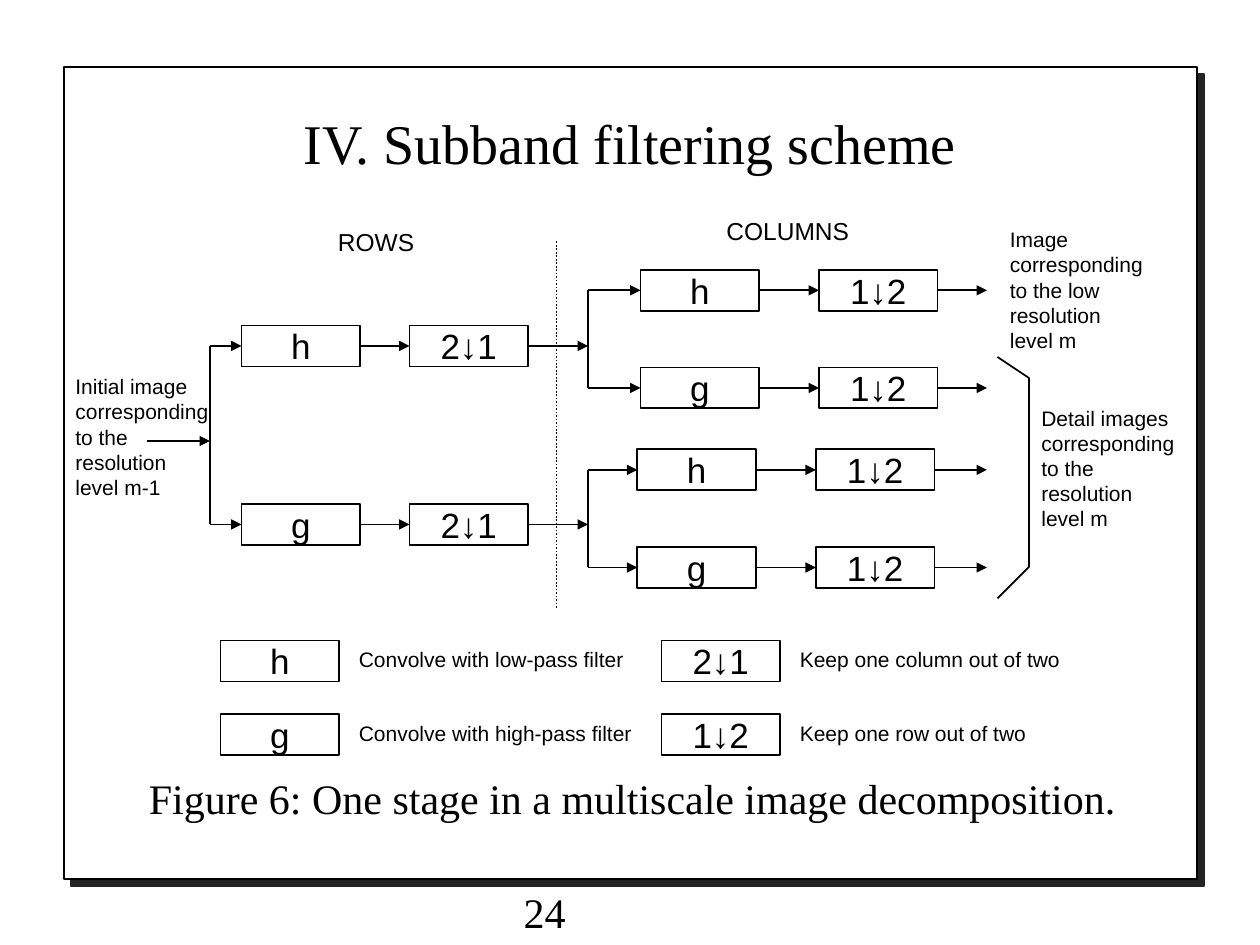
from lxml.etree import SubElement
from pptx import Presentation
from pptx.dml.color import RGBColor
from pptx.enum.dml import MSO_LINE
from pptx.enum.shapes import MSO_CONNECTOR, MSO_SHAPE
from pptx.enum.text import MSO_ANCHOR as Anchor, PP_ALIGN as Align
from pptx.oxml.ns import qn
from pptx.util import Inches, Pt

BLACK = RGBColor(0x00, 0x00, 0x00)
WHITE = RGBColor(0xFF, 0xFF, 0xFF)
SHADOW = RGBColor(0x23, 0x23, 0x23)
SANS, SERIF = "Arial", "Times New Roman"

TITLE = "IV. Subband filtering scheme"
CAPTION = "Figure 6: One stage in a multiscale image decomposition."
PAGE = "24"
ROW_STAGE = [("h", 31), ("g", 48)]
COLUMN_STAGES = [
    (61, 78, [("h", 25.7), ("g", 35)]),
    (60.7, 77.7, [("h", 42.8), ("g", 52.1)]),
]
KEEP_COLUMN, KEEP_ROW = "2↓1", "1↓2"
LEGEND = [
    [("h", "Convolve with low-pass filter"), (KEEP_COLUMN, "Keep one column out of two")],
    [("g", "Convolve with high-pass filter"), (KEEP_ROW, "Keep one row out of two")],
]
HEADINGS = [("ROWS", 31, 21, 12), ("COLUMNS", 68, 20, 17)]
IMAGE_LABELS = [
    (6, 35, ["Initial image", "corresponding", "to the resolution", "level m-1"]),
    (95, 21, ["Image corresponding", "to the low resolution", "level m"]),
    (98, 38, ["Detail images corresponding", "to the resolution", "level m"]),
]
BRACKET = [(95, 34), (98, 36), (98, 54), (95, 57)]
BOX_W, BOX_H = 11.3, 3.9
ROW_FILTER_X, ROW_KEEP_X = 23, 39
ROW_TRUNK_X, COLUMN_TRUNK_X, OUTPUT_X = 20, 56, 94
ENTRY_X, ENTRY_Y = 14, 42
LEGEND_X, LEGEND_Y, LEGEND_DX, LEGEND_DY = 21, 61, 42, 7
RIGHT_SIDE, LEFT_SIDE = 3, 1

prs = Presentation()
prs.slide_width, prs.slide_height = Inches(10), Inches(7.5)
CELL = prs.slide_width / 120
slide = prs.slides.add_slide(prs.slide_layouts[5])


def cells(*counts):
    return [round(count * CELL) for count in counts]


def write(target, text, size=12, font=SANS, align=Align.LEFT, anchor=Anchor.TOP, wrap=True):
    frame = target.text_frame
    frame.word_wrap = wrap
    frame.vertical_anchor = anchor
    frame.text = text
    for paragraph in frame.paragraphs:
        paragraph.alignment = align
        paragraph.font.size = Pt(size)
        paragraph.font.name = font
        paragraph.font.color.rgb = BLACK


def label(text, x, y, w, h, **style):
    write(slide.shapes.add_textbox(*cells(x, y, w, h)), text, **style)


def outline(shape):
    shape.shadow.inherit = False
    shape.fill.background()
    shape.line.color.rgb = BLACK
    shape.line.width = Pt(1)


def box(text, x, y):
    shape = slide.shapes.add_shape(MSO_SHAPE.RECTANGLE, *cells(x, y, BOX_W, BOX_H))
    outline(shape)
    write(shape, text, size=20, align=Align.CENTER, anchor=Anchor.MIDDLE, wrap=False)
    return shape


def wire(start, end, arrow=True):
    ends = [cells(*p) if isinstance(p, tuple) else (p.left, p.top) for p in (start, end)]
    line = slide.shapes.add_connector(MSO_CONNECTOR.STRAIGHT, *ends[0], *ends[1])
    if not isinstance(start, tuple):
        line.begin_connect(start, RIGHT_SIDE)
    if not isinstance(end, tuple):
        line.end_connect(end, LEFT_SIDE)
    line.line.color.rgb = BLACK
    line.line.width = Pt(1)
    properties = line.element.spPr
    if arrow:
        SubElement(properties.find(qn("a:ln")), qn("a:tailEnd"), type="triangle")
    SubElement(properties, qn("a:effectLst"))
    return line


def filter_bank(filters, trunk_x, filter_x, keep_x, keep_text):
    middles = [y + BOX_H / 2 for _, y in filters]
    wire((trunk_x, middles[0]), (trunk_x, middles[-1]), arrow=False)
    outputs = []
    for (name, y), middle in zip(filters, middles):
        convolve = box(name, filter_x, y)
        keep = box(keep_text, keep_x, y)
        wire((trunk_x, middle), convolve)
        wire(convolve, keep)
        outputs.append((keep, middle))
    return outputs


title = slide.shapes.title
title.left, title.top, title.width, title.height = cells(9, 7, 102, 13)
write(title, TITLE, size=32, font=SERIF, align=Align.CENTER, anchor=Anchor.MIDDLE)

panel = slide.shapes.add_shape(MSO_SHAPE.RECTANGLE, *cells(6.1, 6.4, 107.9, 77.3))
outline(panel)
panel.fill.solid()
panel.fill.fore_color.rgb = WHITE
shadow = SubElement(panel.element.spPr.find(qn("a:effectLst")), qn("a:outerShdw"),
                    dist=str(Pt(5.7)), dir="2700000", algn="ctr", rotWithShape="0")
SubElement(shadow, qn("a:srgbClr"), val=str(SHADOW))
title.element.addprevious(panel.element)

wire((ENTRY_X, ENTRY_Y), (ROW_TRUNK_X, ENTRY_Y))
row_outputs = filter_bank(ROW_STAGE, ROW_TRUNK_X, ROW_FILTER_X, ROW_KEEP_X, KEEP_COLUMN)
for (row_keep, row_middle), (filter_x, keep_x, filters) in zip(row_outputs, COLUMN_STAGES):
    wire(row_keep, (COLUMN_TRUNK_X, row_middle))
    for keep, middle in filter_bank(filters, COLUMN_TRUNK_X, filter_x, keep_x, KEEP_ROW):
        wire(keep, (OUTPUT_X, middle))

divider = wire((53, 23), (53, 58), arrow=False)
divider.line.dash_style = MSO_LINE.ROUND_DOT

bracket_path = slide.shapes.build_freeform(*BRACKET[0], scale=CELL)
bracket_path.add_line_segments(BRACKET[1:], close=False)
outline(bracket_path.convert_to_shape())

for text, x, y, w in HEADINGS:
    label(text, x, y, w, 4, size=14)
for x, y, lines in IMAGE_LABELS:
    label("\n".join(lines), x, y, 16, 13.2)

for row, entries in enumerate(LEGEND):
    for column, (symbol, meaning) in enumerate(entries):
        x, y = LEGEND_X + column * LEGEND_DX, LEGEND_Y + row * LEGEND_DY
        box(symbol, x, y)
        label(meaning, x + 12, y, 29, 3.6)

label(CAPTION, 13, 73, 97, 6, size=24, font=SERIF)
label(PAGE, 48.7, 83.8, 19.2, 6, size=24, font=SERIF)

prs.save("out.pptx")
